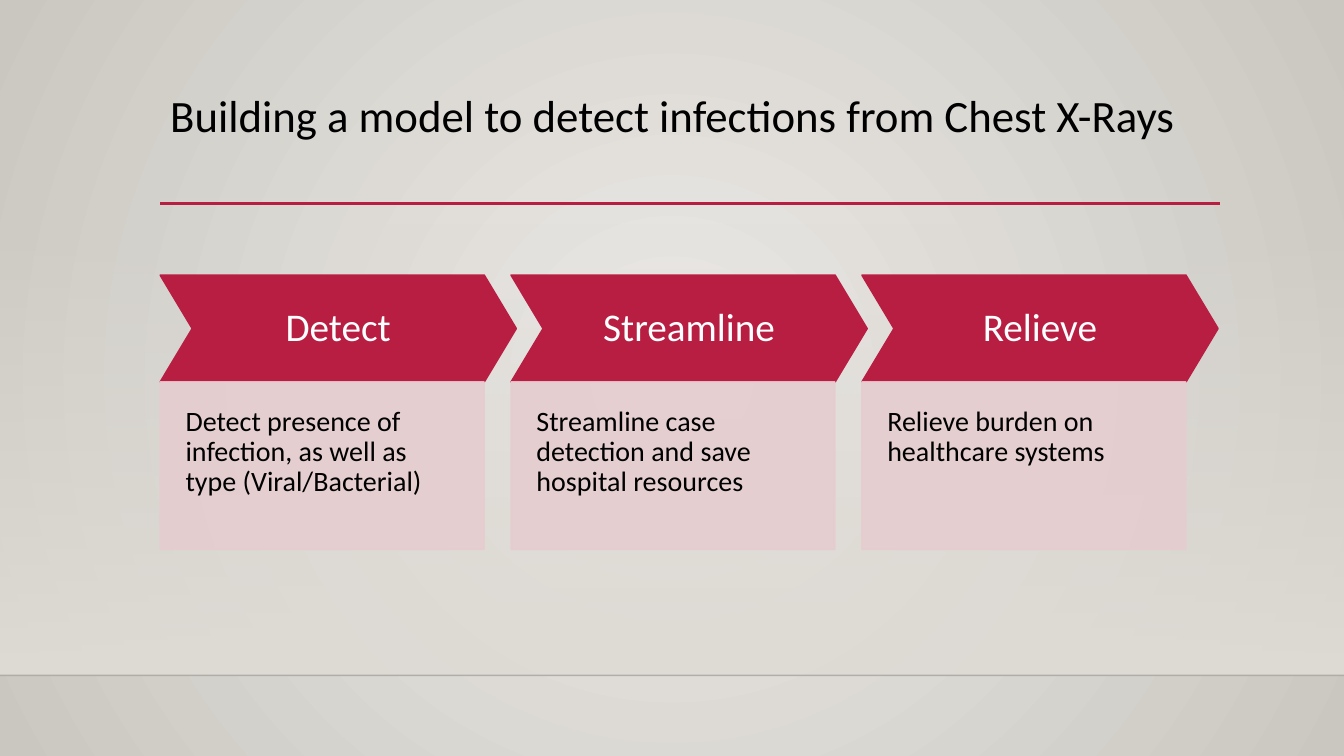
from lxml.etree import SubElement
from pptx import Presentation
from pptx.dml.color import RGBColor
from pptx.enum.shapes import MSO_CONNECTOR, MSO_SHAPE
from pptx.enum.text import MSO_ANCHOR, PP_ALIGN
from pptx.oxml.ns import qn
from pptx.util import Inches, Pt

COLORS = {
    "center": "ECEAE7",
    "edge": "CAC7C1",
    "wall": "DFDBD5",
    "floor": "000001",
    "accent": "B71E42",
    "panel": "E6CDCF",
    "dark": "000000",
    "light": "FFFFFF",
}
FONT = "Calibri"
WIDTH, HEIGHT = 13.33, 7.5
FLOOR_TOP = 6.7
LEFT = 1.59
STEP_PITCH = 3.48
CHEVRON_TOP, CHEVRON_WIDTH, CHEVRON_HEIGHT = 2.73, 3.53, 1.06
PANEL_WIDTH, PANEL_HEIGHT = 3.21, 1.66
STEPS = [
    ("Detect", "Detect presence of infection, as well as type (Viral/Bacterial)"),
    ("Streamline", "Streamline case detection and save hospital resources"),
    ("Relieve", "Relieve burden on healthcare systems"),
]


def rgb(name):
    return RGBColor.from_string(COLORS[name])


def set_alpha(element, percent):
    """Give every colour inside the element the same opacity."""
    for color in element.iter(qn("a:srgbClr")):
        SubElement(color, qn("a:alpha")).set("val", str(percent * 1000))


def set_gradient(fill, first, last):
    fill.gradient()
    for stop, position, name in zip(fill.gradient_stops, (0, 1), (first, last)):
        stop.position = position
        stop.color.rgb = rgb(name)


def paint_background(slide):
    """Radial gradient, light in the middle."""
    set_gradient(slide.background.fill, "center", "edge")
    gradient = next(slide.element.iter(qn("a:gradFill")))
    gradient.remove(gradient.find(qn("a:lin")))
    circle = SubElement(gradient, qn("a:path"), path="circle")
    SubElement(circle, qn("a:fillToRect"), l="50000", t="50000", r="50000", b="50000")


def add_wall(slide):
    """Band above the floor that fades in from top to bottom."""
    top = 2.21
    wall = slide.shapes.add_shape(
        MSO_SHAPE.RECTANGLE, 0, Inches(top), Inches(WIDTH), Inches(FLOOR_TOP - top)
    )
    wall.shadow.inherit = False
    wall.line.fill.background()
    set_gradient(wall.fill, "wall", "wall")
    wall.fill.gradient_angle = 270
    set_alpha(next(wall.element.iter(qn("a:gs"))), 0)


def add_rule(slide, left, right, y, color, width, alpha=100):
    rule = slide.shapes.add_connector(
        MSO_CONNECTOR.STRAIGHT, Inches(left), Inches(y), Inches(right), Inches(y)
    )
    rule.line.color.rgb = rgb(color)
    rule.line.width = Pt(width)
    properties = rule.element.spPr
    SubElement(properties, qn("a:effectLst"))
    if alpha < 100:
        set_alpha(properties, alpha)


def write_text(shape, text, size, color, insets, anchor=MSO_ANCHOR.TOP, align=PP_ALIGN.LEFT):
    """Insets are left, top, right and bottom, in inches."""
    frame = shape.text_frame
    frame.word_wrap = True
    frame.vertical_anchor = anchor
    (frame.margin_left, frame.margin_top,
     frame.margin_right, frame.margin_bottom) = map(Inches, insets)
    frame.text = text
    paragraph = frame.paragraphs[0]
    paragraph.alignment = align
    paragraph.line_spacing = 0.9
    font = paragraph.runs[0].font
    font.name = FONT
    font.size = Pt(size)
    font.color.rgb = rgb(color)


def add_title(slide, text):
    title = slide.shapes.add_textbox(Inches(LEFT), Inches(0.88), Inches(10.5), Inches(1.15))
    write_text(title, text, 32, "dark", (0.1, 0.05, 0.1, 0.05))


def add_block(slide, preset, left, top, width, height, color):
    block = slide.shapes.add_shape(
        preset, Inches(left), Inches(top), Inches(width), Inches(height)
    )
    block.shadow.inherit = False
    block.fill.solid()
    block.fill.fore_color.rgb = rgb(color)
    block.line.color.rgb = rgb(color)
    block.line.width = Pt(1.25)
    return block


def add_step(slide, left, heading, detail):
    """Chevron heading with a detail panel under it."""
    chevron = add_block(slide, MSO_SHAPE.CHEVRON, left, CHEVRON_TOP,
                        CHEVRON_WIDTH, CHEVRON_HEIGHT, "accent")
    chevron.adjustments[0] = 0.3
    write_text(chevron, heading, 28, "light", (0.13,) * 4,
               MSO_ANCHOR.MIDDLE, PP_ALIGN.CENTER)

    panel = add_block(slide, MSO_SHAPE.RECTANGLE, left, CHEVRON_TOP + CHEVRON_HEIGHT,
                      PANEL_WIDTH, PANEL_HEIGHT, "panel")
    set_alpha(panel.element.spPr, 90)
    write_text(panel, detail, 20, "dark", (0.25, 0.25, 0.25, 0.51))


def main():
    presentation = Presentation()
    presentation.slide_width = Inches(WIDTH)
    presentation.slide_height = Inches(HEIGHT)
    slide = presentation.slides.add_slide(presentation.slide_layouts[6])

    paint_background(slide)
    add_wall(slide)
    add_rule(slide, 0, WIDTH, FLOOR_TOP, "floor", 1, alpha=20)
    add_rule(slide, LEFT, 12.1, 2.02, "accent", 2.5)
    add_title(slide, "Building a model to detect infections from Chest X-Rays")
    for index, (heading, detail) in enumerate(STEPS):
        add_step(slide, LEFT + index * STEP_PITCH, heading, detail)

    presentation.save("out.pptx")


if __name__ == "__main__":
    main()
